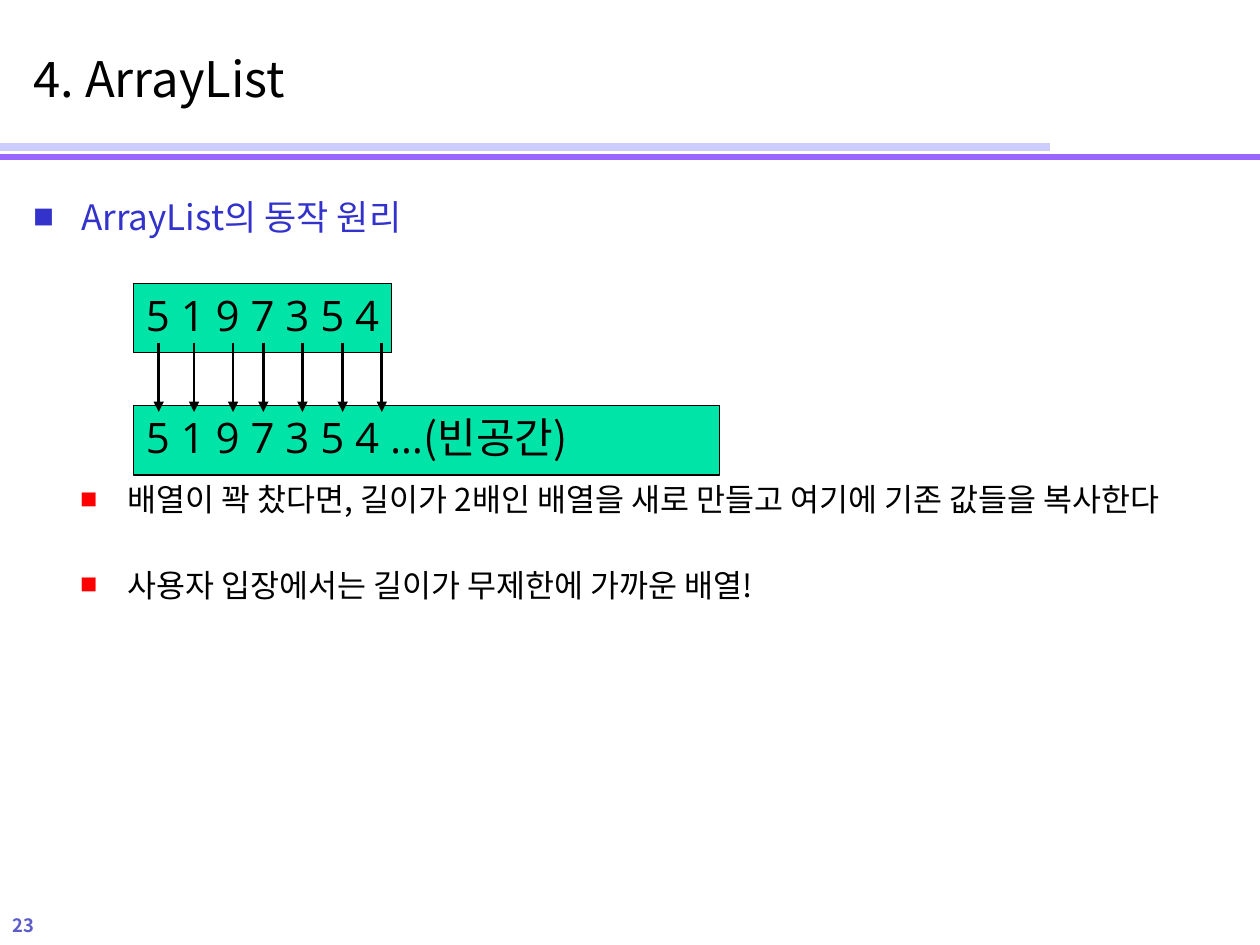
from pptx import Presentation
from pptx.dml.color import RGBColor
from pptx.enum.shapes import MSO_CONNECTOR as Connector, MSO_SHAPE as Shape
from pptx.enum.text import MSO_ANCHOR as Anchor
from pptx.oxml.xmlchemy import OxmlElement as Element
from pptx.util import Inches, Pt

WIDTH, HEIGHT = 10, 7.5
KOREAN, LATIN = "Noto Sans CJK KR", "Open Sans"
BLACK, BLUE, RED, GREEN = "000000", "3333CC", "FF0000", "00E4A8"
DIGITS = "5 1 9 7 3 5 4"


def color(value):
    """Turn a hex string into a colour."""
    return RGBColor.from_string(value)


def add_element(parent, tag, **attributes):
    """Append an XML element with the given attributes."""
    element = Element(tag)
    for key, value in attributes.items():
        element.set(key, str(value))
    parent.append(element)
    return element


def write(paragraph, text, font=KOREAN, ink=BLACK, **format_values):
    """Add one formatted run to a paragraph."""
    run = paragraph.add_run()
    run.text = text
    run.font.color.rgb = color(ink)
    for key, value in {"name": font, **format_values}.items():
        setattr(run.font, key, value)
    add_element(run.font._element, "a:ea", typeface=font)


def add_frame(slide, box, **frame_values):
    """Place a text box and return its frame."""
    frame = slide.shapes.add_textbox(*map(Inches, box)).text_frame
    for key, value in {"word_wrap": True, **frame_values}.items():
        setattr(frame, key, value)
    return frame


def add_line(slide, start, end, ink, weight, arrow=False):
    """Draw a straight line, with an arrowhead at its end if wanted."""
    line = slide.shapes.add_connector(
        Connector.STRAIGHT, *map(Inches, (*start, *end)))
    line.line.color.rgb = color(ink)
    line.line.width = Pt(weight)
    if arrow:
        add_element(line.line._get_or_add_ln(), "a:tailEnd", type="triangle")
    add_element(line._element.spPr, "a:effectLst")


def add_header(slide, box, title):
    """Write the title in its box and draw the two rules below it."""
    left, top, width, height = box
    frame = add_frame(slide, box, vertical_anchor=Anchor.MIDDLE)
    write(frame.paragraphs[0], title, size=Pt(28))
    bottom = top + height
    rules = [(0.09, WIDTH * 5 / 6, "CCCCFF", 4.5), (0.17, WIDTH, "9966FF", 3)]
    for gap, end, ink, weight in rules:
        add_line(slide, (0, bottom + gap), (end, bottom + gap), ink, weight)


def add_bullets(slide, box, items):
    """Write bulleted lines, each with its level and space before."""
    styles = [(0.38, 20, BLUE, BLUE, 60), (0.75, 18, BLACK, RED, 55)]
    frame = add_frame(slide, box)
    for index, (level, space, text) in enumerate(items):
        indent, size, ink, bullet_ink, share = styles[level]
        paragraph = frame.add_paragraph() if index else frame.paragraphs[0]
        paragraph.level = level
        paragraph.space_before = Pt(space)
        properties = paragraph._p.get_or_add_pPr()
        properties.set("marL", str(Inches(indent)))
        properties.set("indent", str(-Inches(0.38)))
        bullet_color = add_element(properties, "a:buClr")
        add_element(bullet_color, "a:srgbClr", val=bullet_ink)
        add_element(properties, "a:buSzPct", val=share * 1000)
        add_element(properties, "a:buFont", typeface=KOREAN)
        add_element(properties, "a:buChar", char="■")
        write(paragraph, text, ink=ink, size=Pt(size))


def add_array(slide, box, parts):
    """Draw an array as a filled bar holding runs of text."""
    bar = slide.shapes.add_shape(Shape.RECTANGLE, *map(Inches, box))
    bar.shadow.inherit = False
    bar.fill.solid()
    bar.fill.fore_color.rgb = color(GREEN)
    bar.line.color.rgb = color(BLACK)
    bar.line.width = Pt(0.75)
    frame = bar.text_frame
    frame.word_wrap = False
    frame.vertical_anchor = Anchor.TOP
    paragraph = frame.paragraphs[0]
    paragraph.alignment = 1
    for text, font in parts:
        write(paragraph, text, font, size=Pt(24))


def add_copy_diagram(slide, box):
    """Show the full array copied value by value into a longer one."""
    left, top, width, height = box
    bar_height = 0.55
    new_top = top + height - bar_height
    add_array(slide, (left, top, 2.05, bar_height), [(DIGITS, LATIN)])
    add_array(slide, (left, new_top, width, bar_height),
              [(DIGITS + " …", LATIN), ("(빈공간)", KOREAN)])
    arrow_top = top + 0.47
    for offset in (0.2, 0.48, 0.79, 1.03, 1.34, 1.66, 1.97):
        add_line(slide, (left + offset, arrow_top),
                 (left + offset, arrow_top + 0.55), BLACK, 1.5, arrow=True)


def add_page_number(slide, box, number):
    """Write the page number in its box."""
    paragraph = add_frame(slide, box).paragraphs[0]
    write(paragraph, number, ink="5D5DC9", size=Pt(10.5), bold=True)


def main():
    """Build the slide and save it."""
    deck = Presentation()
    deck.slide_width, deck.slide_height = Inches(WIDTH), Inches(HEIGHT)
    slide = deck.slides.add_slide(deck.slide_layouts[6])
    margin = WIDTH / 60
    content_width = WIDTH - 2 * margin
    add_header(slide, (margin, margin, content_width, 0.91), "4. ArrayList")
    add_bullets(slide, (margin, HEIGHT / 5, content_width, 5.4), [
        (0, 0, "ArrayList의 동작 원리"),
        (1, 139, "배열이 꽉 찼다면, 길이가 2배인 배열을 새로 만들고 "
                 "여기에 기존 값들을 복사한다"),
        (1, 27, "사용자 입장에서는 길이가 무제한에 가까운 배열!"),
    ])
    add_copy_diagram(slide, (1.06, 2.25, 4.65, 1.52))
    add_page_number(slide, (0, 7.21, 0.92, 0.29), "23")
    deck.save("out.pptx")


main()
